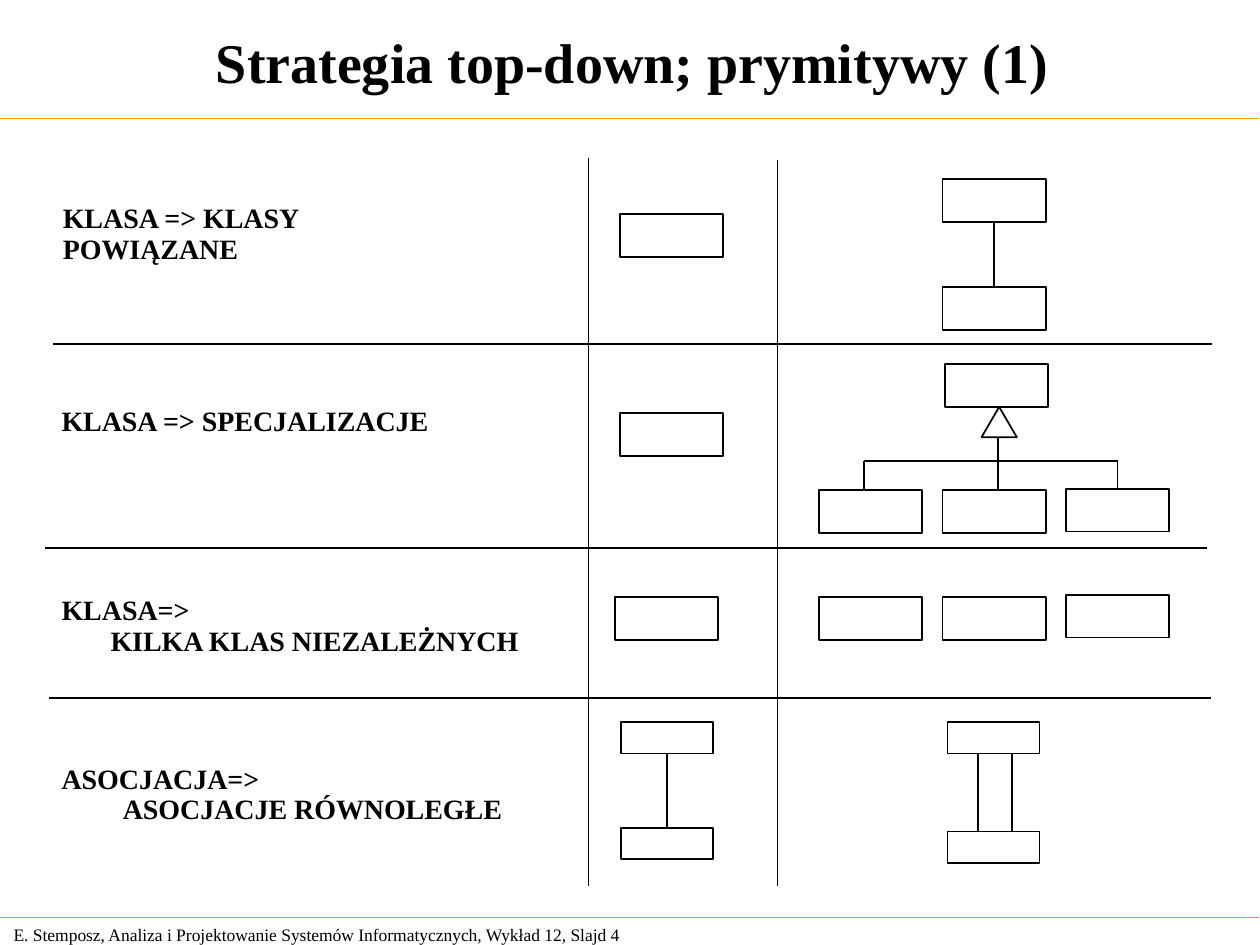
from lxml import etree
from pptx import Presentation
from pptx import util as u
from pptx.dml.color import RGBColor
from pptx.enum import shapes, text
from pptx.oxml.ns import qn

BLACK = RGBColor(0x00, 0x00, 0x00)
WHITE = RGBColor(0xFF, 0xFF, 0xFF)
ORANGE = RGBColor(0xFF, 0x99, 0x00)
FONT = "Times New Roman"
COLUMNS, ROWS = 100, 75
CLASS_SIZE = (8.2, 3.4)
SMALL_SIZE = (7.3, 2.5)
TOP, BOTTOM = 0, 2


class Diagram:
    """Draws on one slide; every length is in grid columns and rows."""

    def __init__(self, deck):
        self.slide = deck.slides.add_slide(deck.slide_layouts[6])
        self.column = deck.slide_width / COLUMNS
        self.row = deck.slide_height / ROWS

    def x(self, columns):
        return u.Emu(round(columns * self.column))

    def y(self, rows):
        return u.Emu(round(rows * self.row))

    def place(self, left, top, width, height):
        return self.x(left), self.y(top), self.x(width), self.y(height)

    def words(self, box, lines, size, bold=True, wrap=True, indent=0,
              align=text.PP_ALIGN.LEFT, spacing=1.0):
        frame = self.slide.shapes.add_textbox(*self.place(*box)).text_frame
        frame.word_wrap = wrap
        frame.vertical_anchor = text.MSO_ANCHOR.MIDDLE
        frame.text = "\n".join(lines)
        for number, paragraph in enumerate(frame.paragraphs):
            if number and indent:
                paragraph._p.get_or_add_pPr().set("marL", str(u.Pt(indent)))
            paragraph.alignment = align
            paragraph.line_spacing = spacing
            for run in paragraph.runs:
                run.font.name = FONT
                run.font.size = u.Pt(size)
                run.font.bold = bold
                run.font.color.rgb = BLACK

    def line(self, x1, y1, x2, y2, color=BLACK, weight=1):
        rule = self.slide.shapes.add_connector(
            shapes.MSO_CONNECTOR.STRAIGHT,
            self.x(x1), self.y(y1), self.x(x2), self.y(y2))
        rule.line.color.rgb = color
        rule.line.width = u.Pt(weight)
        etree.SubElement(rule._element.spPr, qn("a:effectLst"))
        return rule

    def outline(self, left, top, size=CLASS_SIZE,
                kind=shapes.MSO_SHAPE.RECTANGLE):
        figure = self.slide.shapes.add_shape(
            kind, *self.place(left, top, *size))
        figure.shadow.inherit = False
        figure.fill.solid()
        figure.fill.fore_color.rgb = WHITE
        figure.line.color.rgb = BLACK
        figure.line.width = u.Pt(1)
        return figure

    def association(self, left, upper_top, lower_top, size):
        upper = self.outline(left, upper_top, size)
        lower = self.outline(left, lower_top, size)
        link = self.line(left, upper_top, left, lower_top)
        link.begin_connect(upper, BOTTOM)
        link.end_connect(lower, TOP)


def main():
    deck = Presentation()
    deck.slide_width, deck.slide_height = u.Inches(10), u.Inches(7.5)
    diagram = Diagram(deck)

    # Footer, header rule and title
    diagram.words((0.1, 72.8, 52.4, 2.7),
                  ["E. Stemposz, Analiza i Projektowanie Systemów "
                   "Informatycznych, Wykład 12, Slajd 4"], 10, bold=False)
    for rule_y in (9.4, 72.8):
        diagram.line(-0.1, rule_y, 99.9, rule_y, ORANGE, 0.75)
    diagram.words((0.6, 0.6, 99.2, 8.5), ["Strategia top-down; prymitywy (1)"],
                  32, align=text.PP_ALIGN.CENTER)

    # Lines between the columns and rows
    for divider_x, top in ((46.7, 12.5), (61.7, 12.7)):
        diagram.line(divider_x, top, divider_x, 70.3)
    for left, right, divider_y in ((4.2, 96.2, 27.3), (3.6, 95.8, 43.5),
                                   (3.9, 96.1, 55.4)):
        diagram.line(right, divider_y, left, divider_y)

    # Names of the primitives
    primitives = [
        ((4, 16.9, 29.2, 3.5), ["KLASA => KLASY POWIĄZANE"], 0),
        ((3.9, 31.9, 33.7, 3.3), ["KLASA => SPECJALIZACJE"], 0),
        ((3.9, 47.5, 38.5, 4.5), ["KLASA=>", "KILKA KLAS NIEZALEŻNYCH"], 28),
        ((3.9, 61.7, 45.2, 2.9), ["ASOCJACJA=>", "ASOCJACJE RÓWNOLEGŁE"], 35),
    ]
    for box, lines, indent in primitives:
        diagram.words(box, lines, 16, wrap=False, indent=indent, spacing=0.9)

    # Starting classes
    for left, top in ((49.2, 17), (49.2, 32.8), (48.8, 47.4)):
        diagram.outline(left, top)

    # Related classes
    diagram.association(74.8, 14.2, 22.8, CLASS_SIZE)

    # Specialisations: parent, children and the inheritance tree
    child_lefts = (65, 74.8, 84.6)
    diagram.outline(75, 28.9)
    children = [diagram.outline(left, top)
                for left, top in zip(child_lefts, (38.9, 38.9, 38.8))]
    diagram.line(88.7, 36.6, 68.6, 36.6)
    diagram.line(68.6, 36.6, 68.6, 38.9)
    diagram.line(79.2, 34.5, 79.2, 38.9)
    diagram.line(88.7, 36.6, 88.7, 38.8).end_connect(children[-1], TOP)
    diagram.outline(77.9, 32.3, (2.8, 2.4), shapes.MSO_SHAPE.ISOSCELES_TRIANGLE)

    # Independent classes
    for left, top in zip(child_lefts, (47.4, 47.4, 47.2)):
        diagram.outline(left, top)

    # One association becomes two parallel ones
    diagram.association(49.3, 57.3, 65.7, SMALL_SIZE)
    for top in (57.3, 66):
        diagram.outline(75.2, top, SMALL_SIZE)
    for link_x in (77.6, 80.3):
        diagram.line(link_x, 59.8, link_x, 66)

    deck.save("out.pptx")


if __name__ == "__main__":
    main()
